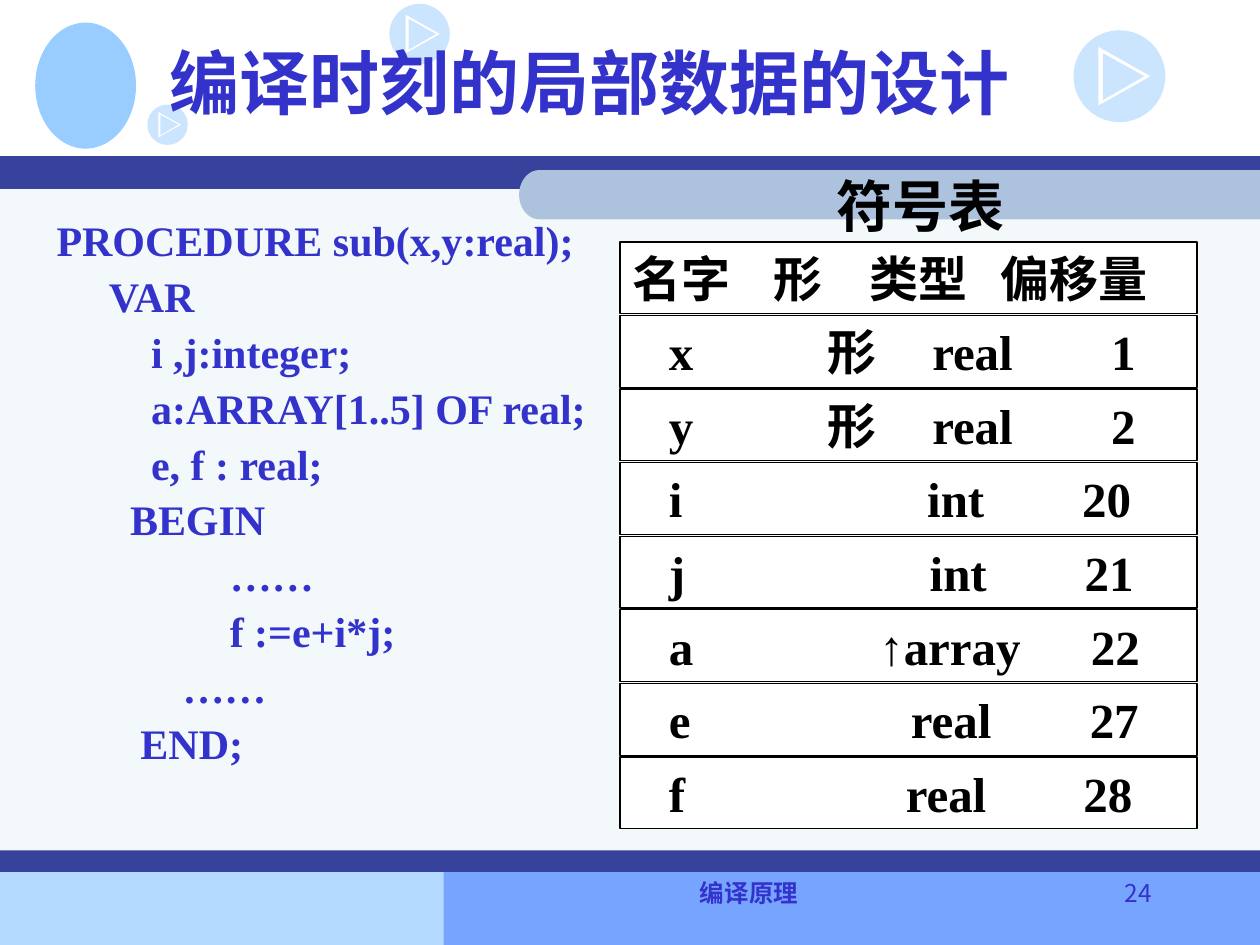
from math import cos, pi, sin

from lxml.etree import SubElement
from pptx import Presentation
from pptx.dml.color import RGBColor
from pptx.enum.shapes import MSO_SHAPE as Preset
from pptx.enum.text import MSO_ANCHOR as Anchor, PP_ALIGN as Align
from pptx.oxml.ns import qn
from pptx.util import Inches, Pt

# Content
TITLE = "编译时刻的局部数据的设计"
TABLE_TITLE = "符号表"
FOOTER = "编译原理"
PAGE_NUMBER = "24"

# Each code line with its indent, in twelfths of an inch
CODE = [
    (0, "PROCEDURE sub(x,y:real);"),
    (5, "VAR"),
    (9, "i ,j:integer;"),
    (9, "a:ARRAY[1..5] OF real;"),
    (9, "e, f : real;"),
    (7, "BEGIN"),
    (16.5, "……"),
    (16.5, "f :=e+i*j;"),
    (12, "……"),
    (8, "END;"),
]

# Each row of the symbol table: (text, distance from the row's left inset)
SYMBOLS = [
    [("名字", 0), ("形", 1.12), ("类型", 1.88), ("偏移量", 2.92)],
    [("x", 0.29), ("形", 1.26), ("real", 2.09), ("1", 3.51)],
    [("y", 0.29), ("形", 1.26), ("real", 2.09), ("2", 3.51)],
    [("i", 0.29), ("int", 2.05), ("20", 3.28)],
    [("j", 0.29), ("int", 2.07), ("21", 3.3)],
    [("a", 0.29), ("↑array", 1.67), ("22", 3.35)],
    [("e", 0.29), ("real", 1.92), ("27", 3.34)],
    [("f", 0.29), ("real", 1.88), ("28", 3.29)],
]

# Layout, in inches
WIDTH, HEIGHT = 10, 7.5
BANDS = [  # left, top, width, height, colour
    (0, 6.92, 4.25, 0.58, "B5DAFF"),
    (3.52, 6.91, 6.48, 0.59, "77A4FF"),
    (0, 1.4, WIDTH, 5.51, "F3F8FB"),
    (0, 1.24, WIDTH, 0.26, "36429B"),
    (0, 6.75, WIDTH, 0.17, "36429B"),
]
PLAY_ICONS = [(3.09, 0.03, 0.48), (8.52, 0.24, 0.73), (1.17, 0.83, 0.32)]
ROW_LEFT, ROW_TOP, ROW_WIDTH, ROW_HEIGHT = 4.92, 1.92, 4.58, 0.57
ROW_PITCH = 0.584

BLUE, BLACK, WHITE, SKY = "3333CC", "000000", "FFFFFF", "99CCFF"
SERIF, SANS = "Times New Roman", "Noto Sans CJK KR"

presentation = Presentation()
presentation.slide_width = Inches(WIDTH)
presentation.slide_height = Inches(HEIGHT)
slide = presentation.slides.add_slide(presentation.slide_layouts[6])


def color(hex_string):
    return RGBColor.from_string(hex_string)


def paint(shape, fill, line=None):
    shape.shadow.inherit = False
    shape.fill.solid()
    shape.fill.fore_color.rgb = color(fill)
    if line:
        shape.line.color.rgb = color(line)
        shape.line.width = Pt(0.75)
    else:
        shape.line.fill.background()
    return shape


def add_box(preset, left, top, width, height, fill, line=None):
    box = [Inches(value) for value in (left, top, width, height)]
    return paint(slide.shapes.add_shape(preset, *box), fill, line)


def add_outline(contours, fill):
    emu = [[(Inches(x), Inches(y)) for x, y in points] for points in contours]
    builder = slide.shapes.build_freeform(*emu[0][0])
    for index, points in enumerate(emu):
        if index:
            builder.move_to(*points[0])
        builder.add_line_segments(points[1:], close=True)
    return paint(builder.convert_to_shape(), fill)


def arc(center_x, center_y, radius_x, radius_y, start, end, steps=40):
    angles = [start + (end - start) * step / steps for step in range(steps + 1)]
    return [(center_x + radius_x * cos(a), center_y + radius_y * sin(a)) for a in angles]


def write(paragraph, text, size, hex_color=BLUE, font=SERIF, bold=True, align=Align.LEFT):
    paragraph.alignment = align
    for piece in filter(None, text.partition("↑")):
        run = paragraph.add_run()
        run.text = piece
        run.font.name = "Arial" if piece == "↑" else font
        run.font.size = Pt(size)
        run.font.bold = bold
        run.font.color.rgb = color(hex_color)
        SubElement(run.font._element, qn("a:ea")).set("typeface", SANS)


def add_text(left, top, width, height, anchor=Anchor.TOP):
    box = slide.shapes.add_textbox(*[Inches(v) for v in (left, top, width, height)])
    box.text_frame.word_wrap = True
    box.text_frame.vertical_anchor = anchor
    return box.text_frame


def set_tab_stops(paragraph, positions):
    tab_list = SubElement(paragraph._p.get_or_add_pPr(), qn("a:tabLst"))
    for position in positions:
        tab = SubElement(tab_list, qn("a:tab"))
        tab.set("pos", str(Inches(position)))
        tab.set("algn", "l")


# Background bands and the tab behind the table title
for *place, fill in BANDS:
    add_box(Preset.RECTANGLE, *place, fill)
rounded_end = arc(4.28, 1.545, 0.16, 0.195, pi / 2, 3 * pi / 2)
add_outline([rounded_end + [(WIDTH, 1.35), (WIDTH, 1.74)]], "ADC3DD")

# Plain emblem
add_box(Preset.OVAL, 0.28, 0.18, 0.8, 1, SKY)

# Play icons: a translucent disc with a triangular ring cut out
for left, top, size in PLAY_ICONS:
    middle = size / 2
    disc = arc(left + middle, top + middle, middle, middle, 0, 2 * pi)
    triangles = [
        [(left + size * x, top + size * y) for x, y in corners]
        for corners in (
            [(0.27, 0.18), (0.84, 0.5), (0.27, 0.82)],
            [(0.32, 0.25), (0.77, 0.5), (0.32, 0.76)],
        )
    ]
    icon = add_outline([disc] + triangles, SKY)
    icon_color = icon._element.spPr.find(qn("a:solidFill"))[0]
    SubElement(icon_color, qn("a:alpha")).set("val", "50000")

# Title
write(add_text(1.25, 0.06, 8.5, 1.17, Anchor.MIDDLE).paragraphs[0], TITLE, 40)

# Procedure listing
listing = add_text(0.35, 1.7, 9.45, 4.76)
for index, (indent, text) in enumerate(CODE):
    paragraph = listing.add_paragraph() if index else listing.paragraphs[0]
    paragraph.line_spacing = 0.9
    paragraph.space_before = Pt(6)
    paragraph._p.get_or_add_pPr().set("marL", str(Inches(indent / 12)))
    write(paragraph, text, 24)

# Symbol table: one framed box per row, columns set by tab stops
for index, cells in enumerate(SYMBOLS):
    row = add_box(Preset.RECTANGLE, ROW_LEFT, ROW_TOP + index * ROW_PITCH,
                  ROW_WIDTH, ROW_HEIGHT, WHITE, BLACK)
    row.text_frame.word_wrap = True
    row.text_frame.vertical_anchor = Anchor.TOP
    paragraph = row.text_frame.paragraphs[0]
    texts, stops = zip(*cells)
    paragraph._p.get_or_add_pPr().set("marL", str(Inches(stops[0])))
    set_tab_stops(paragraph, stops[1:])
    write(paragraph, "\t".join(texts), 28, BLACK)
write(add_text(6.18, 1.31, 2.25, 0.64).paragraphs[0], TABLE_TITLE, 32, BLACK,
      align=Align.CENTER)

# Footer
write(add_text(3.42, 6.92, 5.05, 0.5).paragraphs[0], FOOTER, 14, font=SANS,
      align=Align.CENTER)
write(add_text(8.46, 6.92, 0.78, 0.5).paragraphs[0], PAGE_NUMBER, 14, font=SANS,
      bold=False, align=Align.RIGHT)

presentation.save("out.pptx")
